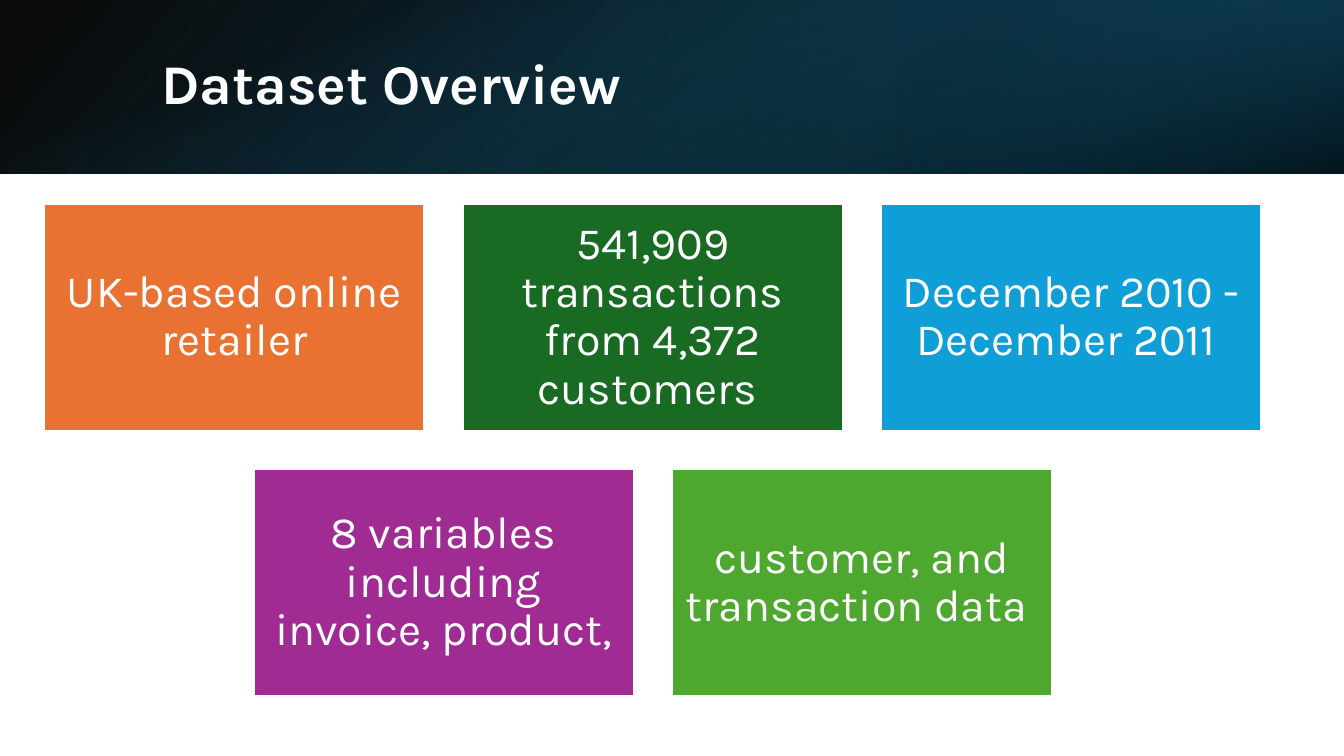
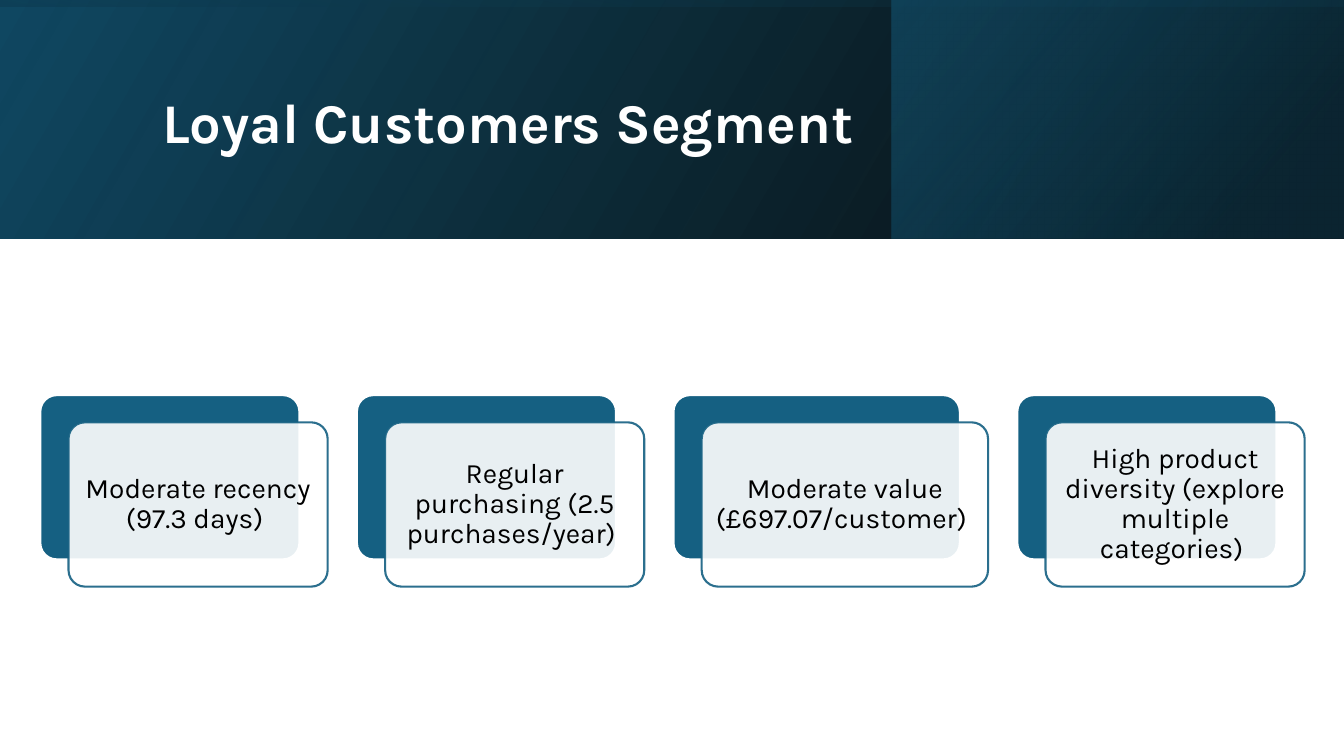
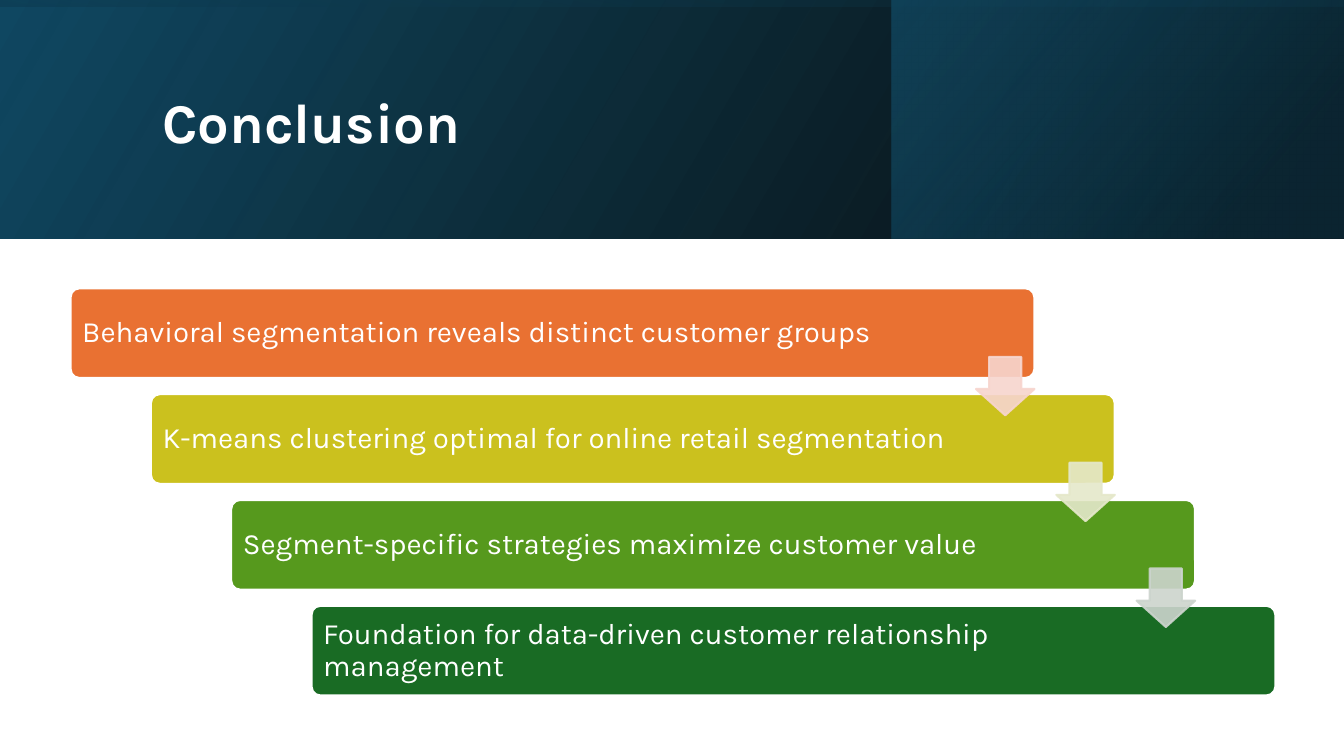
import pptx
import pptx.util
import pptx.oxml
import pptx.oxml.ns
import pptx.dml.color
import pptx.enum.shapes
import pptx.enum.text

Inches = pptx.util.Inches
Pt = pptx.util.Pt
KIND = pptx.enum.shapes.MSO_SHAPE
ALIGN = pptx.enum.text.PP_ALIGN
MIDDLE = pptx.enum.text.MSO_ANCHOR.MIDDLE

WIDE, HIGH = 13.33, 7.5
FONT = "Karla"
HUES = {
    "white": "FFFFFF", "black": "000000", "navy": "104862",
    "deep": "0B3041", "teal": "156082", "orange": "E97132",
    "pine": "196B24", "sky": "0F9ED5", "plum": "A02B93",
    "green": "4EA72E", "lime": "CBC11E", "leaf": "56991D",
    "blush": "F7D5CE", "cream": "E5E8CA", "mist": "CCD4CD",
}

SLIM = {
    "high": 1.72,
    "title": (1.5, 0.38, 10.98, 0.96),
    "layers": [
        (WIDE, 0, True, 140, [(0, "black", 96), (100, "navy", 100)]),
        (4.44, 180, True, 320, [(19, "deep", 68), (100, "teal", 79)]),
        (WIDE, 90, False, 340, [(23, "teal", 0), (99, "black", 74)]),
    ],
}
TALL = {
    "high": 2.37,
    "title": (1.51, 0.38, 10.63, 1.72),
    "layers": [
        (WIDE, 0, True, 330, [(0, "black", 96), (100, "navy", 100)]),
        (4.49, 0, True, 320, [(19, "deep", 68), (100, "teal", 48)]),
        (WIDE, 270, True, 350, [(23, "navy", 16), (99, "black", 45)]),
    ],
}


def tint(hue):
    return pptx.dml.color.RGBColor.from_string(HUES[hue])


def apply(item, values):
    for name, value in values.items():
        setattr(item, name, value)


def fade(fill, alpha):
    for node in fill.iter(pptx.oxml.ns.qn("a:srgbClr")):
        node.append(pptx.oxml.parse_xml(
            f'<a:alpha {pptx.oxml.ns.nsdecls("a")} val="{alpha * 1000}"/>'))


def blend(shape, angle, stops):
    marks = "".join(
        f'<a:gs pos="{at * 1000}"><a:srgbClr val="{HUES[hue]}">'
        f'<a:alpha val="{alpha * 1000}"/></a:srgbClr></a:gs>'
        for at, hue, alpha in stops)
    shape._element.spPr.prstGeom.addnext(pptx.oxml.parse_xml(
        f'<a:gradFill {pptx.oxml.ns.nsdecls("a")}><a:gsLst>{marks}</a:gsLst>'
        f'<a:lin ang="{angle * 60000}" scaled="0"/></a:gradFill>'))


def block(slide, kind, box, fill, line="white", alpha=100, bends=()):
    shape = slide.shapes.add_shape(kind, *map(Inches, box))
    shape.shadow.inherit = False
    for spot, bend in enumerate(bends):
        shape.adjustments[spot] = bend
    shape.fill.solid()
    shape.fill.fore_color.rgb = tint(fill)
    shape.line.color.rgb = tint(line)
    shape.line.width = Pt(1.5)
    if alpha < 100:
        fade(shape._element.spPr, alpha)
    return shape


def write(shape, text, size, hue, pads, align=ALIGN.CENTER, bold=False):
    frame = shape.text_frame
    sides = ("margin_left", "margin_top", "margin_right", "margin_bottom")
    apply(frame, {"word_wrap": True, "vertical_anchor": MIDDLE})
    apply(frame, dict(zip(sides, map(Inches, pads))))
    para = frame.paragraphs[0]
    apply(para, {"alignment": align, "line_spacing": 0.9})
    run = para.add_run()
    run.text = text
    apply(run.font, {"name": FONT, "size": Pt(size), "bold": bold})
    run.font.color.rgb = tint(hue)


def band(slide, style, title):
    high = style["high"]
    for wide, turn, flip, angle, stops in style["layers"]:
        mid = WIDE - wide / 2
        w, h = (high, wide) if turn % 180 else (wide, high)
        box = (mid - w / 2, (high - h) / 2, w, h)
        shape = slide.shapes.add_shape(KIND.RECTANGLE, *map(Inches, box))
        shape.shadow.inherit = False
        shape.line.fill.background()
        shape.rotation = turn
        if flip:
            shape._element.spPr.xfrm.set("flipH", "1")
        blend(shape, angle, stops)
    head = slide.shapes.add_textbox(*map(Inches, style["title"]))
    write(head, title, 40, "white", (0.1, 0.05, 0.1, 0.05), ALIGN.LEFT, True)


def tiles(slide, box, rows):
    left, top, wide, high = box
    gap = 0.38
    w = (wide - 2 * gap) / 3
    h = (high - gap) / 2
    for row, cells in enumerate(rows):
        span = len(cells) * (w + gap) - gap
        start = left + (wide - span) / 2
        for col, (text, hue) in enumerate(cells):
            spot = (start + col * (w + gap), top + row * (h + gap), w, h)
            tile = block(slide, KIND.RECTANGLE, spot, hue)
            write(tile, text, 32, "white", [0.13] * 4)


def cards(slide, box, items):
    left, top, wide, high = box
    shift, gap, h = 0.28, 0.57, high - 0.27
    spare = wide - shift - gap * (len(items) - 1)
    total = sum(share for text, share in items)
    for text, share in items:
        w = spare * share / total
        block(slide, KIND.ROUNDED_RECTANGLE, (left, top, w, h), "teal",
              bends=[0.1])
        card = block(slide, KIND.ROUNDED_RECTANGLE,
                     (left + shift, top + high - h, w, h), "white", "teal",
                     90, [0.1])
        write(card, text, 20, "black", [0.08] * 4)
        left += w + gap


def stairs(slide, box, steps, hints):
    left, top, wide, high = box
    w, h, size = 9.56, 0.89, 0.58
    count = len(steps) - 1
    dx, dy = (wide - w) / count, (high - h) / count
    for row, (text, hue) in enumerate(steps):
        spot = (left + row * dx, top + row * dy, w, h)
        step = block(slide, KIND.ROUNDED_RECTANGLE, spot, hue, bends=[0.1])
        write(step, text, 21, "white", (0.09, 0.09, 1.47, 0.09), ALIGN.LEFT)
    for row, hue in enumerate(hints):
        spot = (left + row * dx + w - size, top + row * dy + 0.68, size, size)
        block(slide, KIND.DOWN_ARROW, spot, hue, hue, 90, [0.55, 0.45])


def main():
    deck = pptx.Presentation()
    apply(deck, {"slide_width": Inches(WIDE), "slide_height": Inches(HIGH)})
    pages = [
        (SLIM, "Dataset Overview", tiles, (0.44, 2.02, 12.07, 4.89), [[
            [("UK-based online retailer", "orange"),
             ("541,909 transactions from 4,372 customers ", "pine"),
             ("December 2010 - December 2011 ", "sky")],
            [("8 variables including invoice, product,", "plum"),
             ("customer, and transaction data ", "green")],
        ]]),
        (TALL, "Loyal Customers Segment", cards, (0.4, 3.92, 12.54, 1.9), [[
            ("Moderate recency (97.3 days) ", 2.57),
            ("Regular purchasing (2.5 purchases/year) ", 2.57),
            ("Moderate value (£697.07/customer) ", 2.84),
            ("High product diversity (explore multiple categories) ", 2.57),
        ]]),
        (TALL, "Conclusion", stairs, (0.7, 2.86, 11.95, 4.04), [
            [("Behavioral segmentation reveals distinct customer groups",
              "orange"),
             ("K-means clustering optimal for online retail segmentation",
              "lime"),
             ("Segment-specific strategies maximize customer value", "leaf"),
             ("Foundation for data-driven customer relationship management",
              "pine")],
            ["blush", "cream", "mist"],
        ]),
    ]
    for style, title, draw, box, parts in pages:
        slide = deck.slides.add_slide(deck.slide_layouts[6])
        band(slide, style, title)
        draw(slide, box, *parts)
    deck.save("out.pptx")


if __name__ == "__main__":
    main()
